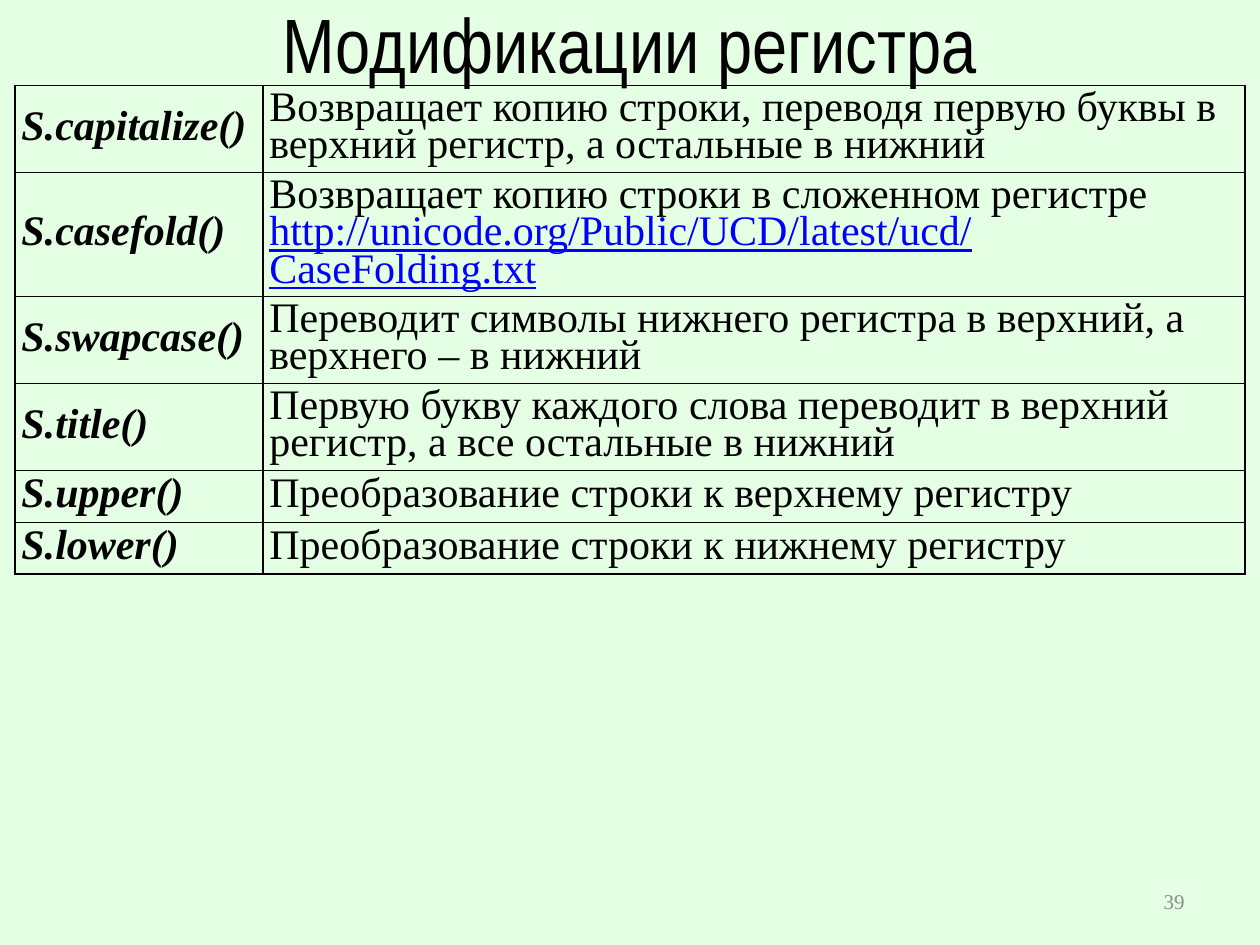
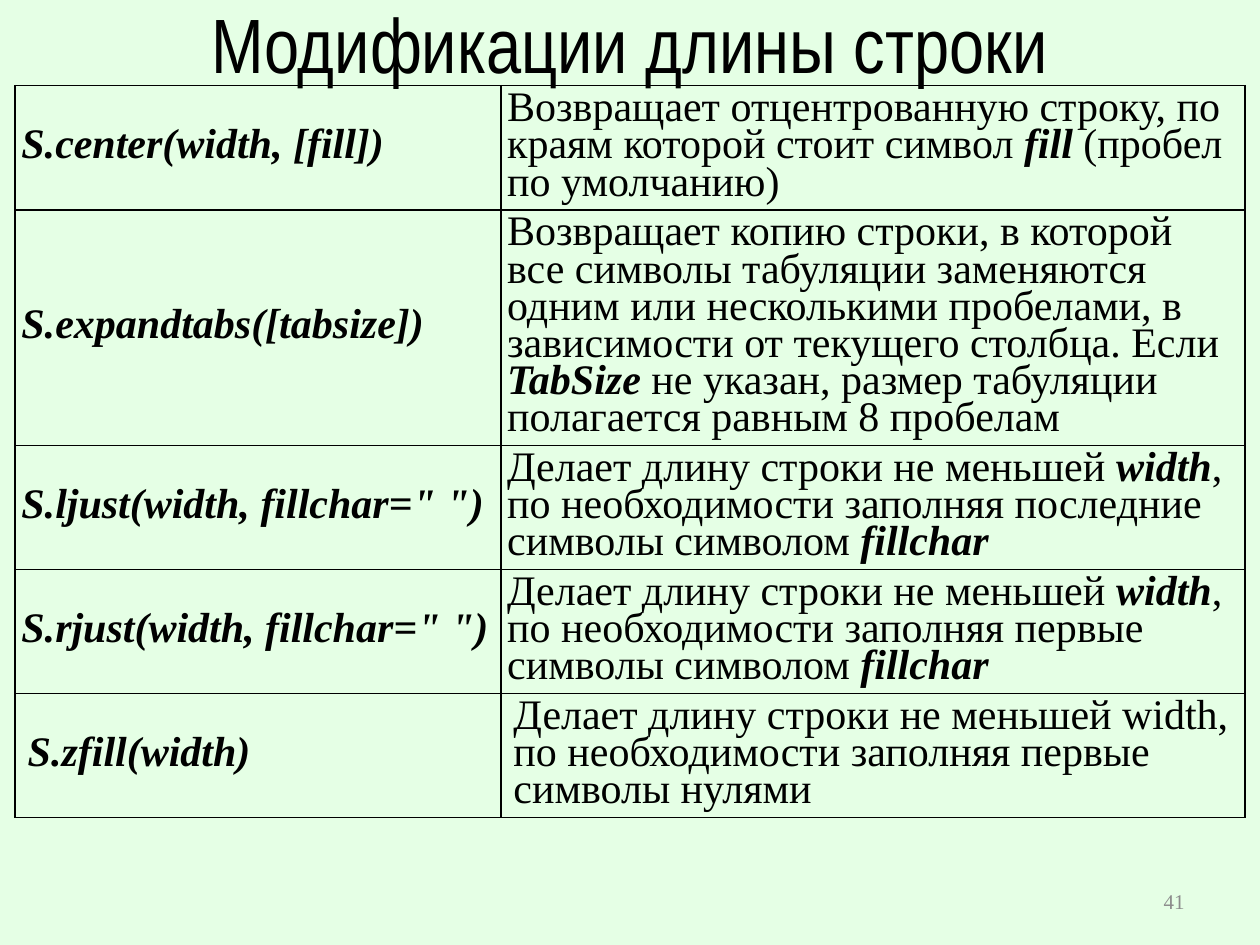
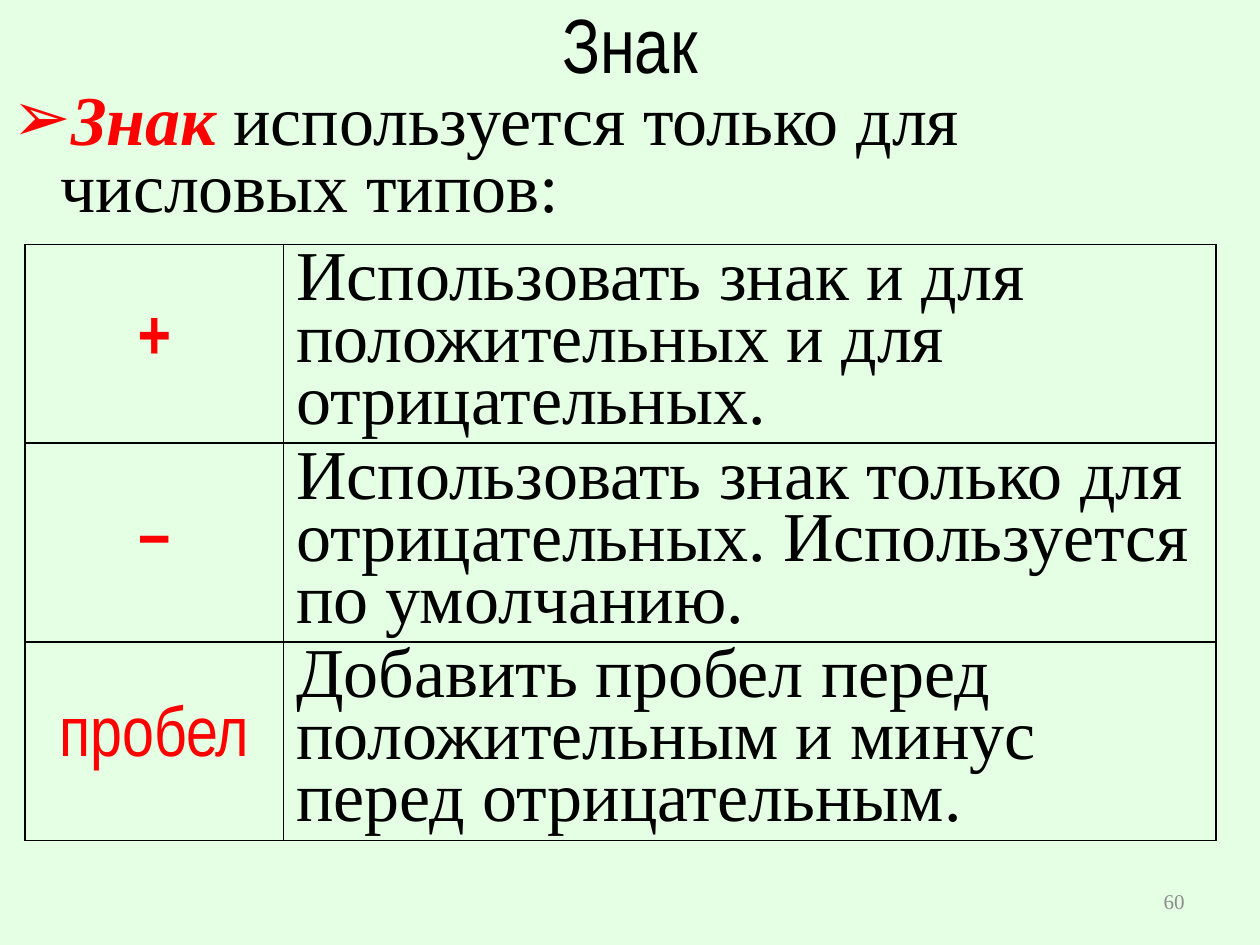
from dataclasses import dataclass
from typing import NamedTuple

from lxml import etree
from pptx import Presentation
from pptx import util as u
from pptx.dml.color import RGBColor
from pptx.enum import text as t
from pptx.oxml import ns

# Shared look
MINT = RGBColor(0xE5, 0xFF, 0xE5)
BLACK = RGBColor(0x00, 0x00, 0x00)
RED = RGBColor(0xFF, 0x00, 0x00)
LINK_BLUE = RGBColor(0x00, 0x00, 0xFF)
GREY = RGBColor(0x8C, 0x8C, 0x8C)
NARROW, SERIF = "Arial Narrow", "Times New Roman"
WIDTH, HEIGHT = u.Inches(10), u.Inches(7.5)
TITLE_ONLY, TITLE_AND_BODY = 5, 1
TIGHT = 0.8
MARK = "*"  # encloses emphasised words
BULLET_INDENT = u.Inches(0.38)
ROW_MIN = u.Inches(0.41)  # rows grow with their text
BORDER = u.Pt(1)


class Box(NamedTuple):
    """A place in inches."""
    left: float
    top: float
    width: float
    height: float

    def emu(self) -> list[int]:
        return [u.Inches(side) for side in self]


class Look(NamedTuple):
    font: str
    size: float
    color: RGBColor = BLACK
    bold: bool = False
    italic: bool = False
    underline: bool = False


class Row(NamedTuple):
    term: str
    meaning: str
    link: str = ""
    inset: float = 0.1


@dataclass
class Reference:
    """A slide with a title, an optional lead and a two-column table."""
    title: str
    number: int
    box: Box
    term_share: float
    rows: list[Row]
    term_look: Look
    meaning_look: Look
    term_align: t.PP_ALIGN = t.PP_ALIGN.LEFT
    lead: str = ""


TITLE_BOX = Box(0.12, 0, 9.76, 0.68)
LEAD_BOX = Box(0, 0.68, 9.76, 1.57)
NUMBER_BOX = Box(7.17, 6.95, 2.33, 0.4)

TITLE_LOOK = Look(NARROW, 44)
NUMBER_LOOK = Look(SERIF, 12, GREY)
METHOD_LOOK = Look(SERIF, 24, bold=True, italic=True)
TEXT_LOOK = Look(SERIF, 24)
LARGE_LOOK = Look(SERIF, 40)
SIGN_LOOK = Look(NARROW, 40, RED, bold=True)


def method(name: str, meaning: str, link: str = "", inset: float = 0.05) -> Row:
    return Row(name, meaning, link, inset)


REFERENCES = [
    Reference(
        "Модификации регистра", 39, Box(0.12, 0.68, 9.76, 3.8), 0.2016,
        [
            method("S.capitalize()", "Возвращает копию строки, переводя первую буквы в "
                   "верхний регистр, а остальные в нижний"),
            method("S.casefold()", "Возвращает копию строки в сложенном регистре",
                   "http://unicode.org/Public/UCD/latest/ucd/CaseFolding.txt"),
            method("S.swapcase()", "Переводит символы нижнего регистра в верхний, "
                   "а верхнего – в нижний"),
            method("S.title()", "Первую букву каждого слова переводит в верхний регистр, "
                   "а все остальные в нижний"),
            method("S.upper()", "Преобразование строки к верхнему регистру"),
            method("S.lower()", "Преобразование строки к нижнему регистру"),
        ],
        METHOD_LOOK, TEXT_LOOK,
    ),
    Reference(
        "Модификации длины строки", 41, Box(0.12, 0.68, 9.76, 6.26), 0.395,
        [
            method("S.center(width, [fill])", "Возвращает отцентрованную строку, по краям "
                   "которой стоит символ *fill* (пробел по умолчанию)"),
            method("S.expandtabs([tabsize])", "Возвращает копию строки, в которой все символы "
                   "табуляции заменяются одним или несколькими пробелами, в зависимости от "
                   "текущего столбца. Если *TabSize* не указан, размер табуляции полагается "
                   "равным 8 пробелам"),
            method('S.ljust(width, fillchar=" ")', "Делает длину строки не меньшей *width*, "
                   "по необходимости заполняя последние символы символом *fillchar*"),
            method('S.rjust(width, fillchar=" ")', "Делает длину строки не меньшей *width*, "
                   "по необходимости заполняя первые символы символом *fillchar*"),
            method("S.zfill(width)", "Делает длину строки не меньшей width, по необходимости "
                   "заполняя первые символы нулями", inset=0.1),
        ],
        METHOD_LOOK, TEXT_LOOK,
    ),
    Reference(
        "Знак", 60, Box(0.2, 1.94, 9.45, 5.1), 0.217,
        [
            Row("+", "Использовать знак и для положительных и для отрицательных."),
            Row("–", "Использовать знак только для отрицательных. "
                "Используется по умолчанию."),
            Row("пробел", "Добавить пробел перед положительным и минус перед отрицательным."),
        ],
        SIGN_LOOK, LARGE_LOOK, t.PP_ALIGN.CENTER,
        lead="*Знак* используется только для числовых типов:",
    ),
]


# Text
def apply_look(run, look: Look) -> None:
    font = run.font
    font.name, font.size = look.font, u.Pt(look.size)
    font.bold, font.italic, font.underline = look.bold, look.italic, look.underline
    font.color.rgb = look.color


def write(paragraph, words: str, look: Look, emphasis: Look | None = None,
          align: t.PP_ALIGN = t.PP_ALIGN.LEFT, spacing: float = 1.0) -> None:
    """Write words; every second part between marks takes the emphasis."""
    paragraph.alignment, paragraph.line_spacing = align, spacing
    paragraph.space_before = u.Pt(0)
    for index, part in enumerate(words.split(MARK)):
        if part:
            run = paragraph.add_run()
            run.text = part
            apply_look(run, emphasis if emphasis and index % 2 else look)


def place(shape, box: Box, anchor: t.MSO_ANCHOR):
    """Move a text shape and return its first paragraph."""
    shape.left, shape.top, shape.width, shape.height = box.emu()
    frame = shape.text_frame
    frame.word_wrap, frame.auto_size = True, t.MSO_AUTO_SIZE.NONE
    frame.vertical_anchor = anchor
    return frame.paragraphs[0]


def add_bullet(paragraph, symbol: str) -> None:
    properties = paragraph._p.get_or_add_pPr()
    properties.set("marL", str(BULLET_INDENT))
    properties.set("indent", str(-BULLET_INDENT))
    etree.SubElement(properties, ns.qn("a:buChar"), char=symbol)


# Table
def add_borders(cell) -> None:
    properties = cell._tc.get_or_add_tcPr()
    for side in ("a:lnL", "a:lnR", "a:lnT", "a:lnB"):
        line = etree.SubElement(properties, ns.qn(side), w=str(BORDER))
        fill = etree.SubElement(line, ns.qn("a:solidFill"))
        etree.SubElement(fill, ns.qn("a:srgbClr"), val=str(BLACK))


def prepare_cell(cell, inset: float) -> None:
    add_borders(cell)
    cell.fill.background()
    cell.vertical_anchor = t.MSO_ANCHOR.MIDDLE
    cell.margin_left = cell.margin_right = u.Inches(inset)
    cell.margin_top = cell.margin_bottom = u.Inches(0.05)


def add_reference_table(slide, ref: Reference) -> None:
    frame = slide.shapes.add_table(len(ref.rows), 2, *ref.box.emu())
    table = frame.table
    table.first_row = table.horz_banding = False
    for column, share in zip(table.columns, (ref.term_share, 1 - ref.term_share)):
        column.width = u.Inches(ref.box.width * share)
    emphasis = ref.meaning_look._replace(bold=True, italic=True)
    link_look = ref.meaning_look._replace(color=LINK_BLUE, underline=True)
    for index, row in enumerate(ref.rows):
        table.rows[index].height = ROW_MIN
        term, meaning = table.cell(index, 0), table.cell(index, 1)
        for cell in (term, meaning):
            prepare_cell(cell, row.inset)
        term_look = ref.term_look._replace(bold=row.term != "пробел" and ref.term_look.bold)
        write(term.text_frame.paragraphs[0], row.term, term_look,
              align=ref.term_align, spacing=TIGHT)
        write(meaning.text_frame.paragraphs[0], row.meaning, ref.meaning_look,
              emphasis, spacing=TIGHT)
        if row.link:
            write(meaning.text_frame.add_paragraph(), row.link, link_look, spacing=TIGHT)
    frame.height = u.Inches(ref.box.height)


# Slides
def add_reference_slide(prs, ref: Reference) -> None:
    layout = TITLE_AND_BODY if ref.lead else TITLE_ONLY
    slide = prs.slides.add_slide(prs.slide_layouts[layout])
    write(place(slide.shapes.title, TITLE_BOX, t.MSO_ANCHOR.MIDDLE), ref.title,
          TITLE_LOOK, align=t.PP_ALIGN.CENTER)
    if ref.lead:
        lead = place(slide.placeholders[1], LEAD_BOX, t.MSO_ANCHOR.TOP)
        add_bullet(lead, "➢")
        write(lead, ref.lead, LARGE_LOOK,
              LARGE_LOOK._replace(color=RED, bold=True, italic=True), spacing=TIGHT)
    number = slide.shapes.add_textbox(*NUMBER_BOX.emu())
    write(place(number, NUMBER_BOX, t.MSO_ANCHOR.MIDDLE), str(ref.number),
          NUMBER_LOOK, align=t.PP_ALIGN.RIGHT)
    add_reference_table(slide, ref)


def main() -> None:
    prs = Presentation()
    prs.slide_width, prs.slide_height = WIDTH, HEIGHT
    background = prs.slide_master.background.fill
    background.solid()
    background.fore_color.rgb = MINT
    for ref in REFERENCES:
        add_reference_slide(prs, ref)
    prs.save("out.pptx")


if __name__ == "__main__":
    main()
